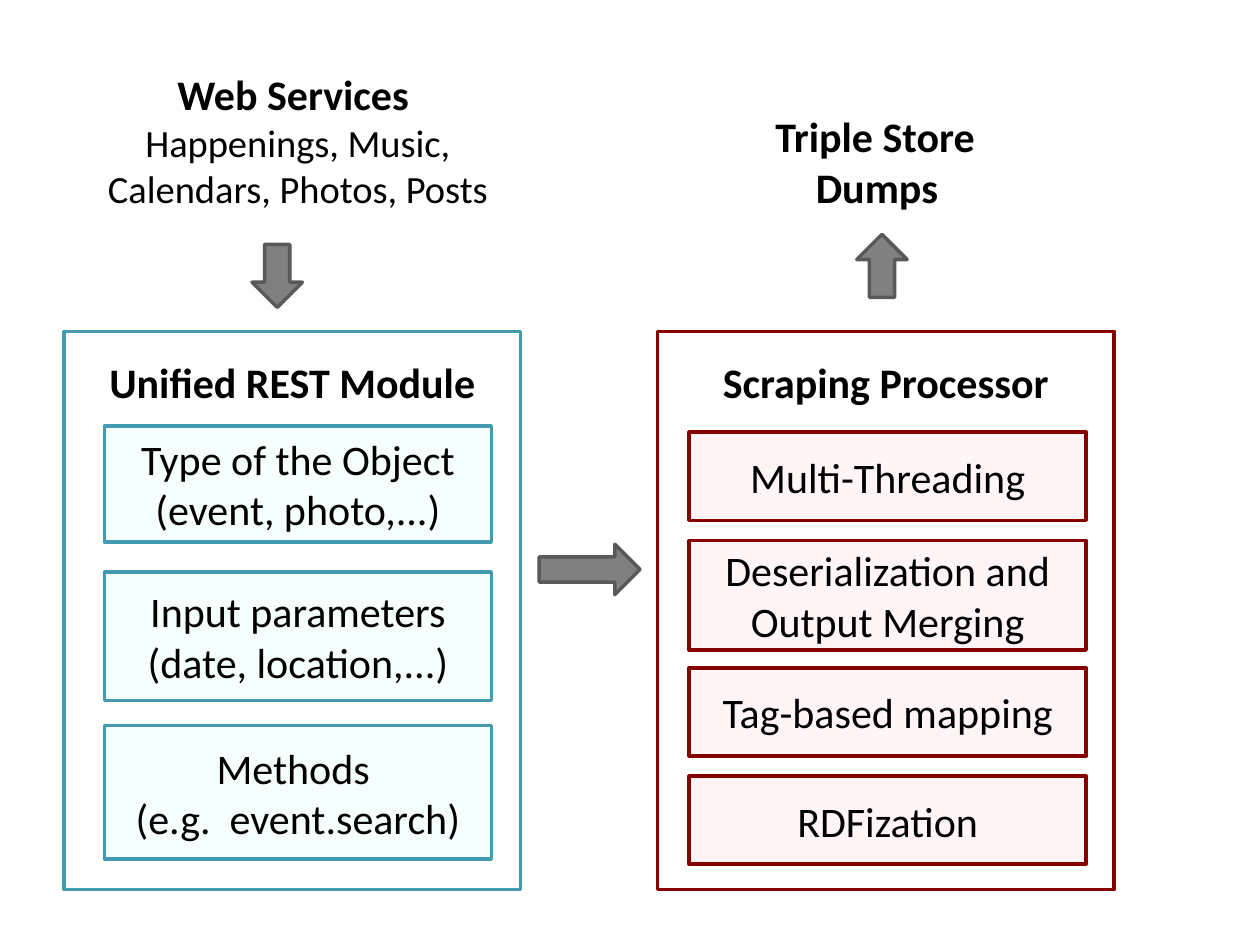
from pptx import Presentation
from pptx.dml.color import RGBColor
from pptx.enum.shapes import MSO_SHAPE
from pptx.enum.text import MSO_ANCHOR, PP_ALIGN
from pptx.util import Inches, Pt

COLORS = {
    "white": "FFFFFF", "black": "000000",
    "teal": "439AB1", "mint": "F5FFFD",
    "maroon": "860000", "rose": "FFF5F7",
    "gray": "808080", "dark_gray": "595959",
}

# Each heading: left, top, width, height, vertical inset, [(text, size, bold)]
HEADINGS = [
    (6.36, 1.27, 1.2, 0.42, 0.05, [("Dumps", 24, True)]),
    (0.6, 0.52, 3.53, 1.18, 0, [
        ("Web Services ", 24, True),
        ("Happenings, Music, Calendars, Photos, Posts", 22, False),
    ]),
    (5.87, 0.79, 2.15, 0.57, 0.05, [("Triple Store", 24, True)]),
]

# Each step: top, height, lines
MODULES = [
    {
        "title": "Unified REST Module", "left": 0.51, "line": "teal", "fill": "mint",
        "step_left": 0.83, "step_width": 3.07,
        "steps": [
            (3.38, 0.92, ["Type of the Object (event, photo,...)"]),
            (4.54, 1.02, ["Input parameters", "(date, location,...)"]),
            (5.76, 1.06, ["Methods ", "(e.g.  event.search)"]),
        ],
    },
    {
        "title": "Scraping Processor", "left": 5.22, "line": "maroon", "fill": "rose",
        "step_left": 5.47, "step_width": 3.15,
        "steps": [
            (3.43, 0.7, ["Multi-Threading"]),
            (4.29, 0.87, ["Deserialization and Output Merging"]),
            (5.3, 0.7, ["Tag-based mapping"]),
            (6.16, 0.7, ["RDFization"]),
        ],
    },
]
MODULE_TOP, MODULE_WIDTH, MODULE_HEIGHT = 2.63, 3.62, 4.43

ARROWS = [
    (MSO_SHAPE.DOWN_ARROW, 2, 1.94, 0.4, 0.5),
    (MSO_SHAPE.RIGHT_ARROW, 4.28, 4.32, 0.8, 0.4),
    (MSO_SHAPE.UP_ARROW, 6.8, 1.86, 0.4, 0.5),
]


def color(name):
    """Return the named colour."""
    return RGBColor.from_string(COLORS[name])


def add_shape(page, kind, left, top, width, height, fill, line=None):
    """Add a flat preset shape with an optional 2 pt outline."""
    shape = page.shapes.add_shape(
        kind, Inches(left), Inches(top), Inches(width), Inches(height))
    shape.shadow.inherit = False
    shape.fill.solid()
    shape.fill.fore_color.rgb = color(fill)
    if line:
        shape.line.color.rgb = color(line)
        shape.line.width = Pt(2)
    else:
        shape.line.fill.background()
    return shape


def write(shape, lines, anchor=MSO_ANCHOR.MIDDLE, inset_top=0.05, inset_bottom=0.05):
    """Write centred paragraphs given as (text, size, bold)."""
    frame = shape.text_frame
    frame.word_wrap = True
    frame.vertical_anchor = anchor
    frame.margin_top, frame.margin_bottom = Inches(inset_top), Inches(inset_bottom)
    for index, (text, size, bold) in enumerate(lines):
        para = frame.add_paragraph() if index else frame.paragraphs[0]
        para.text = text
        para.alignment = PP_ALIGN.CENTER
        para.font.name = "Calibri"
        para.font.size = Pt(size)
        para.font.bold = bold
        para.font.color.rgb = color("black")


def add_module(page, module):
    """Add a framed module with its title and step boxes."""
    frame = add_shape(page, MSO_SHAPE.RECTANGLE, module["left"], MODULE_TOP,
                      MODULE_WIDTH, MODULE_HEIGHT, "white", module["line"])
    write(frame, [(module["title"], 24, True)], MSO_ANCHOR.TOP, inset_top=0.2)
    for top, height, lines in module["steps"]:
        box = add_shape(page, MSO_SHAPE.RECTANGLE, module["step_left"], top,
                        module["step_width"], height, module["fill"], module["line"])
        write(box, [(text, 24, False) for text in lines])


deck = Presentation()
deck.slide_width, deck.slide_height = Inches(10), Inches(7.5)
page = deck.slides.add_slide(deck.slide_layouts[6])

for left, top, width, height, inset, lines in HEADINGS:
    heading = add_shape(page, MSO_SHAPE.RECTANGLE, left, top, width, height, "white")
    write(heading, lines, inset_top=inset, inset_bottom=inset)
for module in MODULES:
    add_module(page, module)
for kind, left, top, width, height in ARROWS:
    add_shape(page, kind, left, top, width, height, "gray", "dark_gray")

deck.save("out.pptx")
